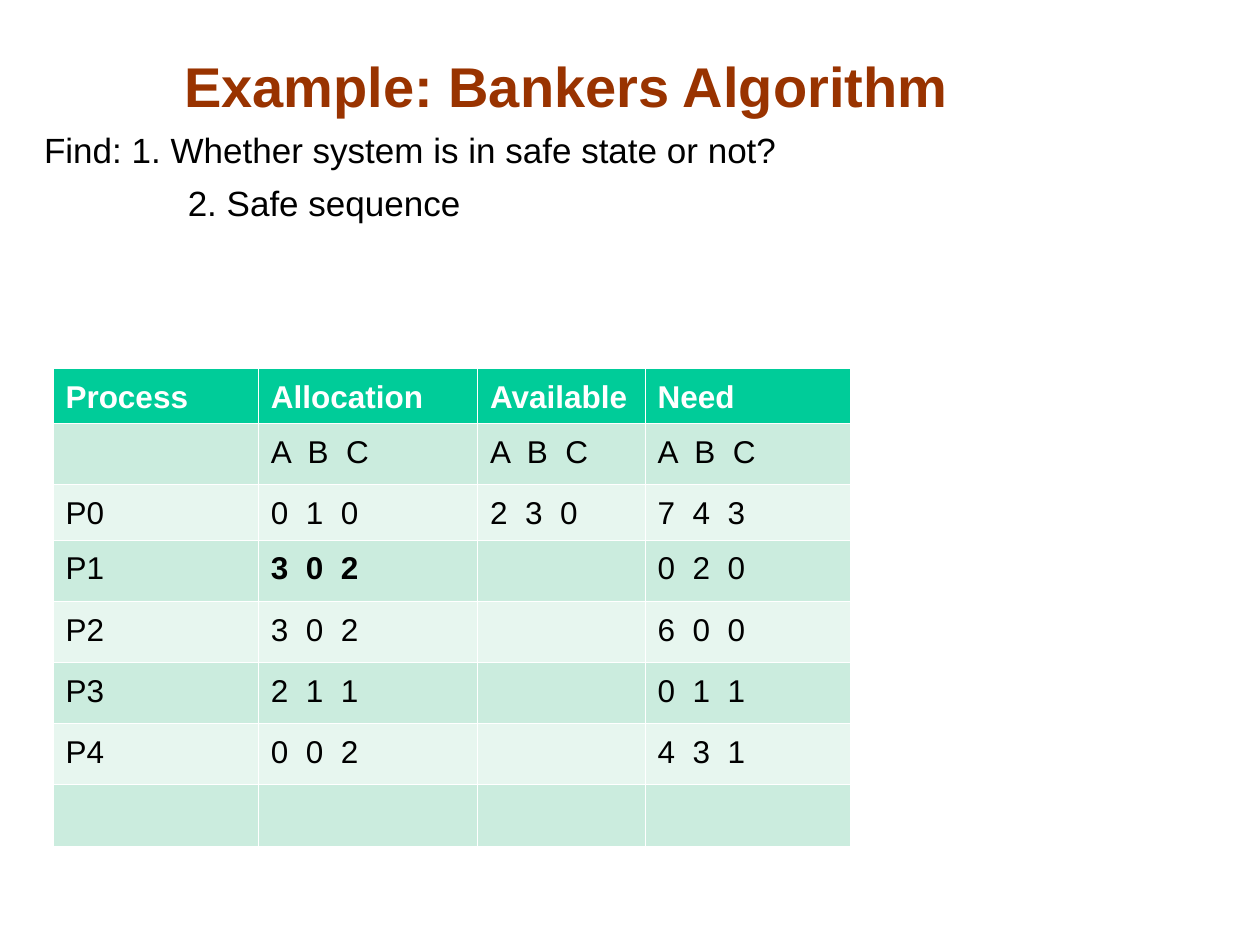
from typing import NamedTuple

import pptx
import pptx.dml.color
import pptx.enum.text
import pptx.oxml.ns
import pptx.util
from lxml import etree

Inches = pptx.util.Inches
Pt = pptx.util.Pt
RGBColor = pptx.dml.color.RGBColor
qn = pptx.oxml.ns.qn

RUST = RGBColor(0x99, 0x33, 0x00)
BLACK = RGBColor(0x00, 0x00, 0x00)
WHITE = RGBColor(0xFF, 0xFF, 0xFF)
GREEN = RGBColor(0x00, 0xCC, 0x99)
MINT = RGBColor(0xCB, 0xEC, 0xDE)
PALE_MINT = RGBColor(0xE7, 0xF6, 0xEF)

FULL_ROW = Inches(0.44)
OPEN_ROW = Inches(3.79 - 2 * 0.44) // 6  # six rows hold a blank cell
THIN, THICK = Pt(0.11), Pt(0.34)


class Column(NamedTuple):
    heading: str
    width: float


class Process(NamedTuple):
    name: str = ""
    allocation: str = ""
    available: str = ""
    need: str = ""


COLUMNS = [Column("Process", 1.63), Column("Allocation", 1.74),
           Column("Available", 1.33), Column("Need", 1.63)]
ROWS = [
    Process(*(c.heading for c in COLUMNS)),
    Process("", "A  B  C", "A  B  C", "A  B  C"),
    Process("P0", "0  1  0", "2  3  0", "7  4  3"),
    Process("P1", "3  0  2", "", "0  2  0"),
    Process("P2", "3  0  2", "", "6  0  0"),
    Process("P3", "2  1  1", "", "0  1  1"),
    Process("P4", "0  0  2", "", "4  3  1"),
    Process(),
]
BOLD_CELL = (3, 1)  # allocation of P1


def write(p, text: str, *, size: float, color: RGBColor = BLACK,
          bold: bool = False, align=pptx.enum.text.PP_ALIGN.LEFT,
          line: float = 0.93, before: float = 0, indent: float = 0) -> None:
    """Fill a paragraph with one formatted, unbulleted run."""
    pPr = p._p.get_or_add_pPr()
    pPr.set("marL", str(Inches(indent)))
    pPr.set("indent", "0")
    etree.SubElement(pPr, qn("a:buNone"))
    p.alignment = align
    p.line_spacing = line
    p.space_before = Pt(before)
    r = p.add_run()
    r.text = text
    r.font.name = "Arial"
    r.font.size = Pt(size)
    r.font.bold = bold
    r.font.color.rgb = color


def place(sp, left: float, top: float, width: float, height: float, anchor):
    """Move a placeholder and return its text frame."""
    sp.left, sp.top = Inches(left), Inches(top)
    sp.width, sp.height = Inches(width), Inches(height)
    tf = sp.text_frame
    tf.word_wrap = True
    tf.auto_size = pptx.enum.text.MSO_AUTO_SIZE.NONE
    tf.vertical_anchor = anchor
    return tf


def add_borders(cell, **widths: int) -> None:
    """Give a cell white edges, thin unless a width is given."""
    tcPr = cell._tc.get_or_add_tcPr()
    for side in "LRTB":
        ln = etree.SubElement(tcPr, qn(f"a:ln{side}"), w=str(widths.get(side, THIN)))
        fill = etree.SubElement(ln, qn("a:solidFill"))
        etree.SubElement(fill, qn("a:srgbClr"), val=str(WHITE))


def fill_cell(cell, text: str, row: int, col: int) -> None:
    header = row == 0
    edge = {0: {"B": THICK}, 1: {"T": THICK}}.get(row, {})
    add_borders(cell, **edge)
    cell.fill.solid()
    cell.fill.fore_color.rgb = GREEN if header else MINT if row % 2 else PALE_MINT
    cell.margin_left = cell.margin_right = Inches(0.1)
    cell.margin_top, cell.margin_bottom = Inches(0.13), Inches(0.05)
    if text:
        write(cell.text_frame.paragraphs[0], text, size=18,
              color=WHITE if header else BLACK, line=0.84,
              bold=header or (row, col) == BOLD_CELL)


def add_process_table(s) -> None:
    width = sum(c.width for c in COLUMNS)
    frame = s.shapes.add_table(len(ROWS), len(COLUMNS), Inches(0.42), Inches(2.92),
                               Inches(width), FULL_ROW * len(ROWS))
    table = frame.table
    for table_column, column in zip(table.columns, COLUMNS):
        table_column.width = Inches(column.width)
    for i, row in enumerate(ROWS):
        table.rows[i].height = FULL_ROW if all(row) else OPEN_ROW
        for j, text in enumerate(row):
            fill_cell(table.cell(i, j), text, i, j)


def main() -> None:
    prs = pptx.Presentation()
    prs.slide_width, prs.slide_height = Inches(10), Inches(7.5)
    s = prs.slides.add_slide(prs.slide_layouts[1])

    # Title
    tf = place(s.shapes.title, 0.08, 0.34, 8.83, 0.66,
               pptx.enum.text.MSO_ANCHOR.BOTTOM)
    write(tf.paragraphs[0], "Example: Bankers Algorithm", size=32, color=RUST,
          bold=True, align=pptx.enum.text.PP_ALIGN.CENTER)

    # Questions
    tf = place(s.placeholders[1], 0.25, 1, 9.5, 6.17,
               pptx.enum.text.MSO_ANCHOR.TOP)
    write(tf.paragraphs[0], "Find: 1. Whether system is in safe state or not?", size=20)
    write(tf.add_paragraph(), "2. Safe sequence", size=20, before=7.9, indent=1.14)

    # Allocation table
    add_process_table(s)
    prs.save("out.pptx")


if __name__ == "__main__":
    main()
